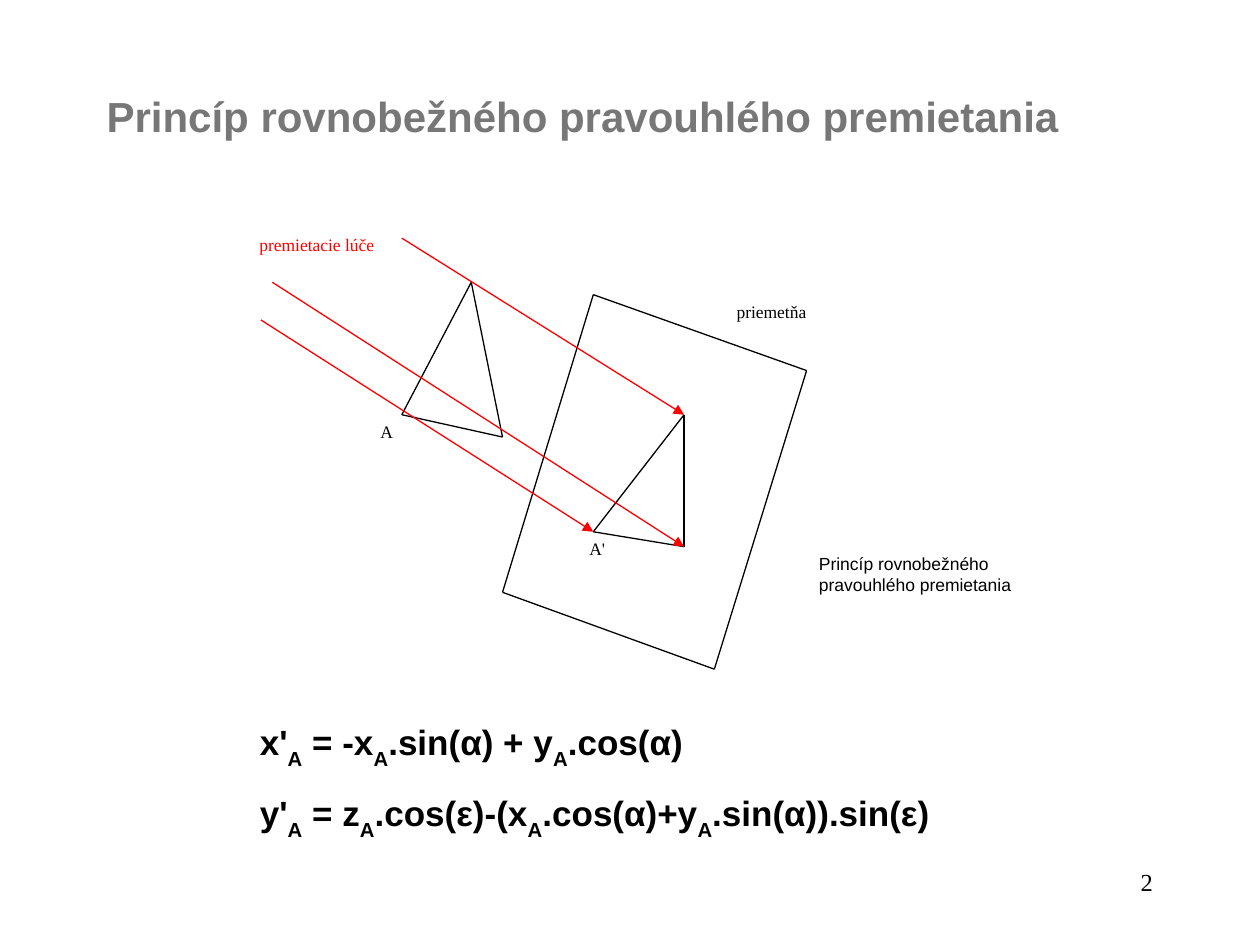
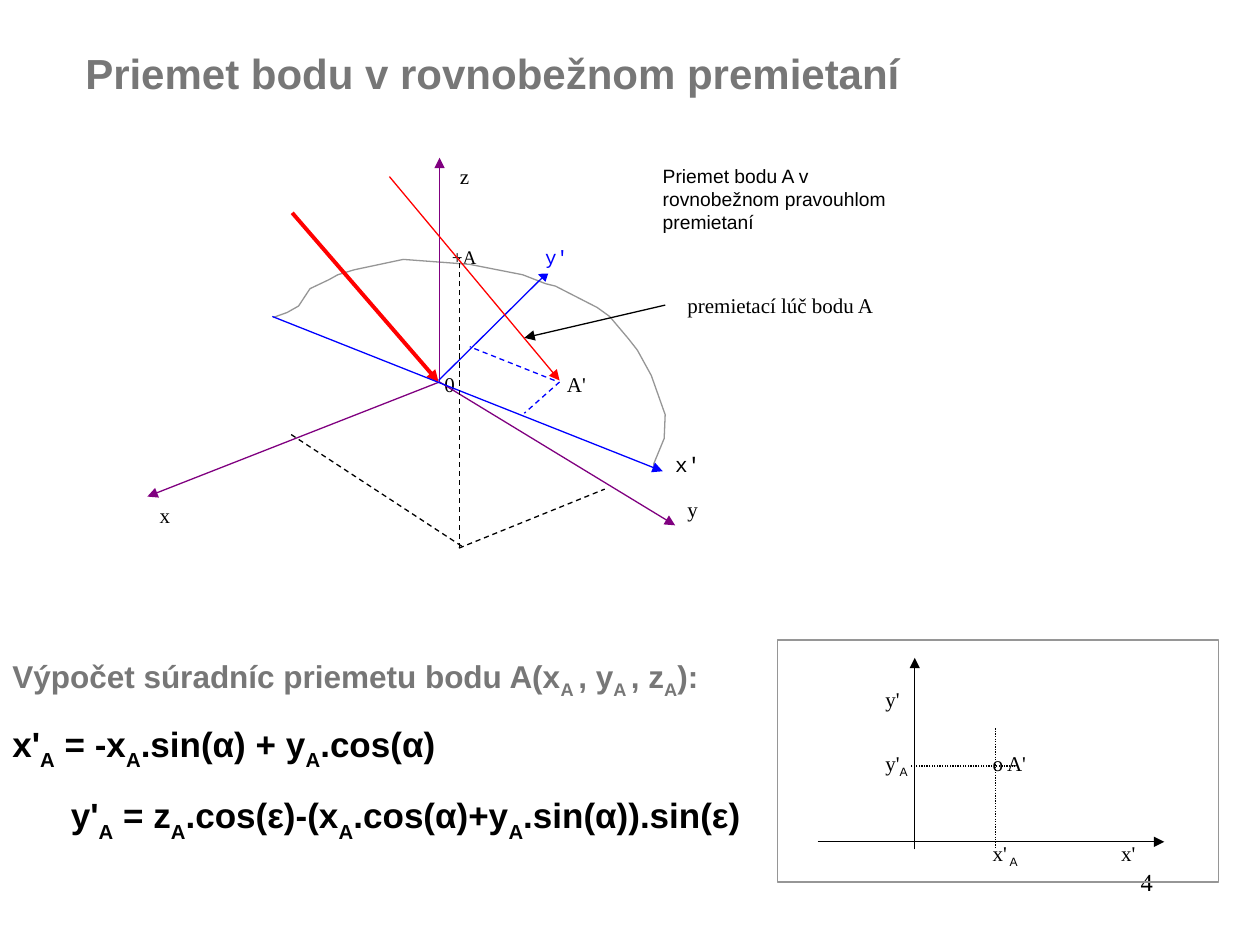
import pptx
import pptx.dml.color
import pptx.enum.dml
import pptx.enum.shapes
import pptx.enum.text
import pptx.util
from lxml import etree
from pptx.oxml.ns import qn

Cm, Pt = pptx.util.Cm, pptx.util.Pt
rgb = pptx.dml.color.RGBColor.from_string

BLACK, WHITE, RED, BLUE = "000000", "FFFFFF", "FF0000", "0000FF"
PURPLE, GREY, TITLE_GREY = "800080", "969696", "777777"
SERIF, SANS, MONO = "Times New Roman", "Arial", "Courier New"
DASH = pptx.enum.dml.MSO_LINE.DASH
DOT = pptx.enum.dml.MSO_LINE.ROUND_DOT

# Subscripts stand between bars
FORMULAS = [
    "x'|A| = -x|A|.sin(α) + y|A|.cos(α)",
    "y'|A| = z|A|.cos(ε)-(x|A|.cos(α)+y|A|.sin(α)).sin(ε)",
]
FORMULA_INDENT = Cm(1.18)


def add_text(slide, box, lines, size, color=BLACK, font=SERIF, bold=False, fill=None):
    """Place one paragraph per line and return the paragraphs."""
    area = slide.shapes.add_textbox(*(Cm(v) for v in box))
    if fill:
        area.fill.solid()
        area.fill.fore_color.rgb = rgb(fill)
    frame = area.text_frame
    frame.word_wrap = True
    frame.text = "\n".join(line.split("|")[0] for line in lines)
    for paragraph, line in zip(frame.paragraphs, lines):
        for piece in line.split("|")[1:]:
            paragraph.add_run().text = piece
        for i, run in enumerate(paragraph.runs):
            run.font.size, run.font.bold = Pt(size), bold
            run.font.name = SANS if i % 2 else font
            run.font.color.rgb = rgb(color)
            if i % 2:
                run._r.get_or_add_rPr().set("baseline", "-30000" if bold else "-25000")
    return frame.paragraphs


def add_line(slide, start, end, color=BLACK, width=0.75, dash=None, arrow=False):
    line = slide.shapes.add_connector(
        pptx.enum.shapes.MSO_CONNECTOR.STRAIGHT, *(Cm(v) for v in start + end))
    line.line.color.rgb = rgb(color)
    line.line.width = Pt(width)
    if dash:
        line.line.dash_style = dash
    if arrow:
        etree.SubElement(line.line._get_or_add_ln(), qn("a:tailEnd"), type="triangle")
    etree.SubElement(line._element.spPr, qn("a:effectLst"))


deck = pptx.Presentation()
deck.slide_width, deck.slide_height = Cm(25.4), Cm(19.05)

# Titles and page numbers
pages = []
for title, title_box, number in [
    ("Princíp rovnobežného pravouhlého premietania", (1.9, 1.7, 20.75, 1.27), "2"),
    ("Priemet bodu v rovnobežnom premietaní", (1.47, 0.84, 22.23, 1.27), "4"),
]:
    page = deck.slides.add_slide(deck.slide_layouts[6])
    add_text(page, title_box, [title], 24, TITLE_GREY, SANS, bold=True)
    page_number = add_text(page, (18.21, 17.35, 5.28, 1.27), [number], 14)
    page_number[0].alignment = pptx.enum.text.PP_ALIGN.RIGHT
    pages.append(page)
principle, point = pages

# Slide 1: labels
for box, lines, color, font in [
    ((14.6, 5.94, 2.77, 1.55), ["priemetňa"], BLACK, SERIF),
    ((4.98, 4.6, 3.86, 1.55), ["premietacie lúče"], RED, SERIF),
    ((7.42, 8.36, 1.42, 0.86), ["A"], BLACK, SERIF),
    ((11.63, 10.72, 1.12, 1.22), ["A'"], BLACK, SERIF),
    ((16.26, 11.02, 5.97, 1.83),
     ["Princíp rovnobežného", "pravouhlého premietania"], BLACK, SANS),
]:
    add_text(principle, box, lines, 10, color, font, fill=WHITE)

# Slide 1: projection plane, triangle and its image
plane = [(11.96, 5.94), (16.26, 7.47), (14.4, 13.49), (10.13, 11.94)]
triangle = [(9.5, 5.69), (8.1, 8.36), (10.13, 8.81)]
image = [(13.79, 8.36), (11.96, 10.72), (13.79, 11.02)]
for outline in (plane, triangle, image):
    for start, end in zip(outline, outline[1:] + outline[:1]):
        add_line(principle, start, end)

# Slide 1: rays
for start, end in zip([(8.1, 4.8), (5.26, 6.45), (5.49, 5.69)], image):
    add_line(principle, start, end, RED, arrow=True)

# Slide 1: formulas
for paragraph in add_text(principle, (3.81, 14.4, 15.44, 2.69), FORMULAS, 20,
                          font=SANS, bold=True):
    paragraph._p.get_or_add_pPr().set("marL", str(FORMULA_INDENT))
paragraph.space_before = Pt(12.5)

# Slide 2: labels of the space drawing and the plane graph
for box, label, size, font in [
    ((11.18, 7.37, 1.04, 0.79), "A'", 12, SERIF),
    ((8.86, 4.83, 1.09, 0.94), "+A", 11, SERIF),
    ((8.71, 7.37, 0.99, 0.79), "0", 12, SERIF),
    ((2.97, 10.01, 0.84, 0.81), "x", 12, SERIF),
    ((13.61, 9.88, 0.86, 0.66), "y", 12, SERIF),
    ((9.02, 3.18, 0.76, 0.86), "z", 12, SERIF),
    ((13.36, 8.97, 1.35, 0.66), "x'", 12, MONO),
    ((13.11, 3.18, 5.23, 2.34),
     "Priemet bodu A v rovnobežnom pravouhlom premietaní", 11, SANS),
    ((13.61, 5.77, 4.72, 0.79), "premietací lúč bodu A", 12, SERIF),
    ((19.76, 16.81, 1.24, 0.79), "x'| A", 12, SERIF),
    ((17.6, 15.01, 1.14, 1.09), "y'|A", 12, SERIF),
    ((22.35, 16.81, 1.09, 0.66), "x'", 12, SERIF),
    ((17.6, 13.72, 0.79, 0.97), "y'", 12, SERIF),
    ((19.76, 15.01, 1.24, 0.71), "o A'", 12, SERIF),
]:
    add_text(point, box, [label], size, font=font, fill=WHITE)

# Slide 2: edge of the projection plane
arc = [
    (5.51, 6.4), (5.79, 6.3), (6.02, 6.17), (6.25, 5.82), (6.63, 5.64),
    (6.81, 5.54), (7.14, 5.44), (8.13, 5.23), (9.47, 5.33), (10.54, 5.54),
    (11, 5.72), (11.2, 5.77), (12.04, 6.2), (12.29, 6.38), (12.67, 6.83),
    (12.85, 7.06), (13.13, 7.57), (13.41, 8.36), (13.39, 8.84),
    (13.18, 9.35), (13.18, 9.5),
]
arc = [(Cm(x), Cm(y)) for x, y in arc]
builder = point.shapes.build_freeform(*arc[0])
builder.add_line_segments(arc[1:], close=False)
plane_edge = builder.convert_to_shape()

# Slide 2: frame of the plane graph
graph_frame = point.shapes.add_shape(
    pptx.enum.shapes.MSO_SHAPE.RECTANGLE, Cm(15.67), Cm(12.9), Cm(8.89), Cm(4.88))
for border in (plane_edge, graph_frame):
    border.shadow.inherit = False
    border.fill.background()
    border.line.color.rgb = rgb(GREY)
    border.line.width = Pt(0.75)

# Slide 2: axes, rays and pointer
origin = (8.86, 7.7)
for start, end, color, width in [
    (origin, (8.86, 3.18), PURPLE, 0.75),
    (origin, (2.97, 10.01), PURPLE, 0.75),
    (origin, (13.61, 10.59), PURPLE, 0.75),
    ((5.89, 4.29), (8.84, 7.7), RED, 2.25),
    ((8.84, 7.67), (11.07, 5.46), BLUE, 0.75),
    ((5.49, 6.38), (13.36, 9.5), BLUE, 0.75),
    ((7.85, 3.56), (11.28, 7.67), RED, 0.75),
    ((13.41, 6.15), (10.57, 6.81), BLACK, 0.75),
    ((16.48, 16.97), (23.47, 16.97), BLACK, 0.75),
    ((18.44, 17.12), (18.44, 13.26), BLACK, 0.75),
]:
    add_line(point, start, end, color, width, arrow=True)
add_text(point, (10.74, 4.83, 1.17, 0.69), ["y'"], 11, BLUE, MONO, fill=WHITE)

# Slide 2: coordinate guides
for start, end, color, dash in [
    ((5.87, 8.76), (9.37, 11.05), BLACK, DASH),
    ((9.25, 11.05), (12.19, 9.86), BLACK, DASH),
    ((9.27, 11.05), (9.27, 5.21), BLACK, DASH),
    ((11.28, 7.7), (10.57, 8.33), BLUE, DASH),
    ((11.18, 7.67), (9.47, 6.99), BLUE, DASH),
    ((20.07, 14.68), (20.07, 17.12), BLACK, DOT),
    ((20.47, 15.44), (18.36, 15.44), BLACK, DOT),
]:
    add_line(point, start, end, color, dash=dash)

# Slide 2: calculation
heading, x_formula, y_formula = add_text(
    point, (0, 13.13, 16.94, 4.01),
    ["Výpočet súradníc priemetu bodu A(x|A |, y|A |, z|A|):"] + FORMULAS,
    20, font=SANS, bold=True)
for i, run in enumerate(heading.runs):
    run.font.size = Pt(18)
    run.font.color.rgb = rgb(TITLE_GREY)
    if i % 2:
        run._r.get_or_add_rPr().set("baseline", "-25000")
for formula in (x_formula, y_formula):
    formula.space_before = Pt(12.5)
y_formula._p.get_or_add_pPr().set("marL", str(FORMULA_INDENT))

deck.save("out.pptx")
